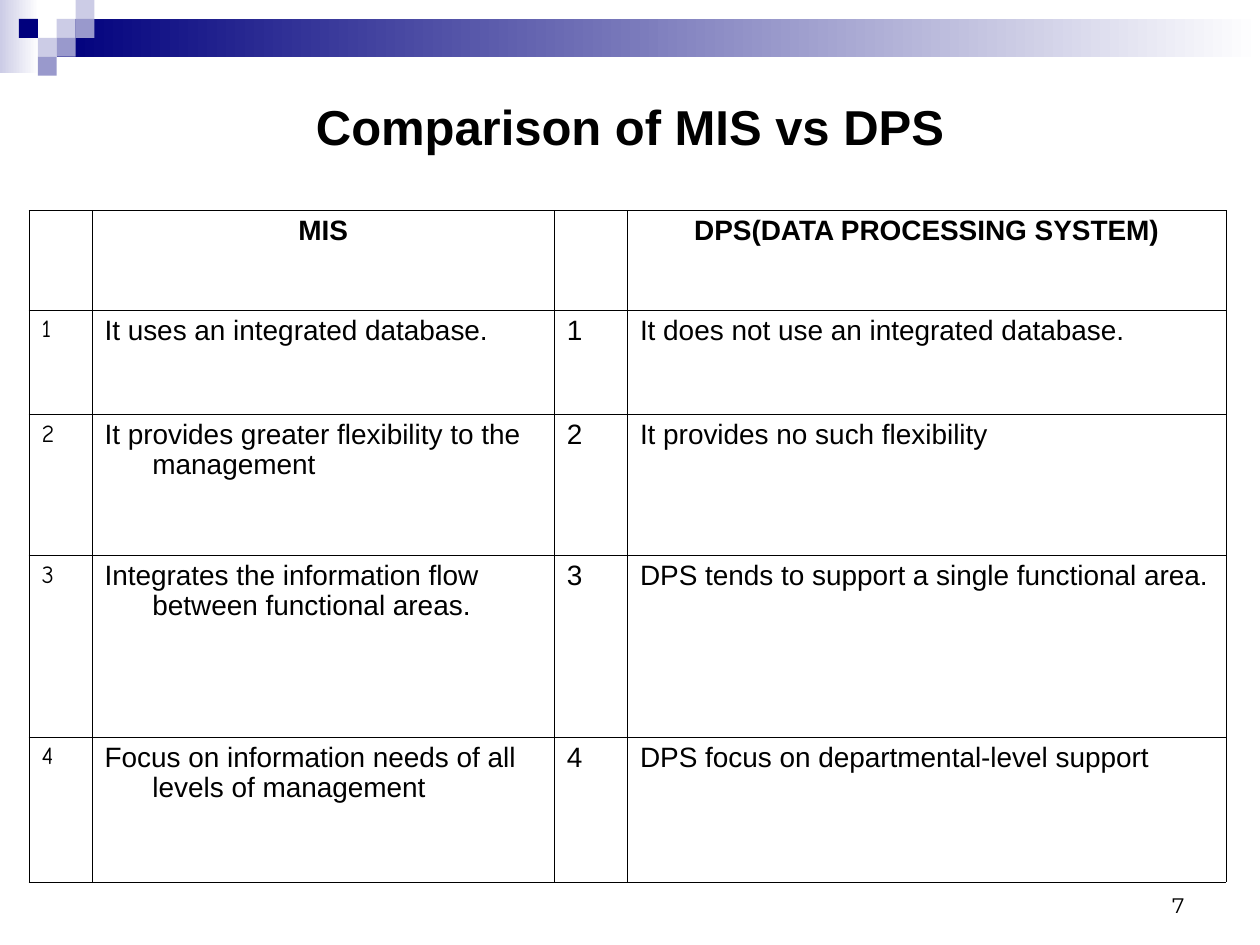
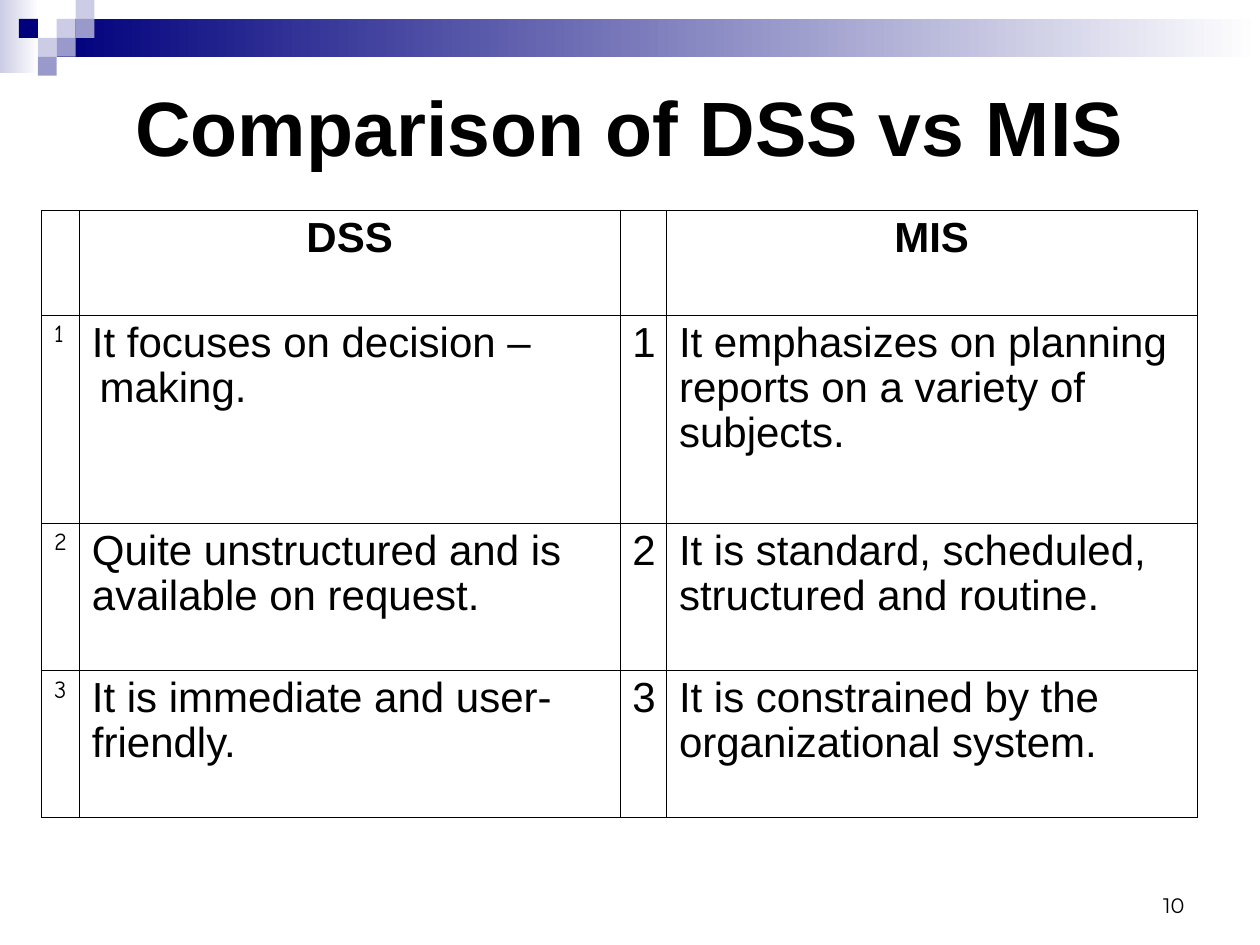
"""Build two slides that compare information systems in bordered tables."""
from dataclasses import dataclass

import pptx
import pptx.dml.color
import pptx.enum.shapes
import pptx.enum.text
import pptx.oxml
import pptx.oxml.ns
import pptx.util
from pptx.util import Inches

ALIGN = pptx.enum.text.PP_ALIGN
ANCHOR = pptx.enum.text.MSO_ANCHOR


@dataclass(frozen=True)
class Theme:
    navy: str = "00007D"
    violet: str = "9999CC"
    lilac: str = "CCCCE6"
    white: str = "FFFFFF"
    ink: str = "000000"
    body_font: str = "Arial"
    index_font: str = "Comic Neue"
    number_font: str = "Montserrat"
    index_size: int = 14
    number_size: int = 12
    border: float = 0.45
    line_spacing: float = 0.96
    hanging: float = 0.38
    tile: float = 0.15


class Deck:
    def __init__(self, theme):
        self.theme = theme
        self.file = pptx.Presentation()
        self.file.slide_width = Inches(10)
        self.file.slide_height = Inches(7.5)
        self.page = None

    def add_page(self, title, title_size, number):
        self.page = self.file.slides.add_slide(self.file.slide_layouts[6])
        self.add_band()
        self.add_text((0.5, 0.5, 9, 1), title, self.theme.body_font, title_size,
                      ALIGN.CENTER, ANCHOR.MIDDLE, bold=True)
        self.add_text((7.17, 6.83, 2.33, 0.5), number, self.theme.number_font,
                      self.theme.number_size, ALIGN.RIGHT, ANCHOR.BOTTOM)

    def add_band(self):
        theme = self.theme
        tile = theme.tile
        self.add_rectangle((0, 0, 0.31, 0.58), theme.lilac, theme.white)
        self.add_rectangle((3 * tile, tile, 9.55, 2 * tile), theme.navy, theme.white)
        tiles = {
            theme.lilac: [(3, 1), (4, 0), (2, 2)],
            theme.violet: [(4, 1), (3, 2), (2, 3)],
            theme.navy: [(1, 1)],
        }
        for color, places in tiles.items():
            for column, row in places:
                self.add_rectangle((column * tile, row * tile, tile, tile), color)

    def add_rectangle(self, place, color, fade_to=None):
        box = self.page.shapes.add_shape(
            pptx.enum.shapes.MSO_SHAPE.RECTANGLE, *map(Inches, place))
        box.shadow.inherit = False
        box.line.fill.background()
        if fade_to is None:
            box.fill.solid()
            box.fill.fore_color.rgb = pptx.dml.color.RGBColor.from_string(color)
            return
        box.fill.gradient()
        box.fill.gradient_angle = 0
        for stop, shade in zip(box.fill.gradient_stops, (color, fade_to)):
            stop.color.rgb = pptx.dml.color.RGBColor.from_string(shade)

    def add_text(self, place, text, font, size, align, anchor, bold=False):
        box = self.page.shapes.add_textbox(*map(Inches, place))
        frame = box.text_frame
        frame.word_wrap = True
        frame.vertical_anchor = anchor
        para = frame.paragraphs[0]
        para.alignment = align
        self.add_span(para, text, font, size, bold)

    def add_span(self, para, text, font, size, bold=False):
        span = para.add_run()
        span.text = text
        span.font.name = font
        span.font.size = pptx.util.Pt(size)
        span.font.bold = bold
        span.font.color.rgb = pptx.dml.color.RGBColor.from_string(self.theme.ink)

    def add_comparison(self, left, widths, heights, headings, pairs, size, indents):
        theme = self.theme
        frame = self.page.shapes.add_table(
            len(heights), len(widths), Inches(left), Inches(1.67),
            Inches(sum(widths)), Inches(sum(heights)))
        table = frame.table
        table.first_row = False
        table.horz_banding = False
        for column, width in zip(table.columns, widths):
            column.width = Inches(width)
        for row, height in zip(table.rows, heights):
            row.height = Inches(height)
        for cell in table.iter_cells():
            self.outline(cell)
            cell.fill.background()
        for column, heading in zip((1, 3), headings):
            self.fill_cell(table.cell(0, column), heading, theme.body_font, size,
                           theme.hanging, ALIGN.CENTER, True)
        for row, (first, second) in enumerate(pairs, 1):
            first_indent, second_indent = indents[row - 1]
            self.fill_cell(table.cell(row, 0), str(row), theme.index_font,
                           theme.index_size, theme.hanging)
            self.fill_cell(table.cell(row, 1), first, theme.body_font, size, first_indent)
            self.fill_cell(table.cell(row, 2), str(row), theme.body_font, size,
                           theme.hanging)
            self.fill_cell(table.cell(row, 3), second, theme.body_font, size, second_indent)

    def fill_cell(self, cell, text, font, size, indent, align=ALIGN.LEFT, bold=False):
        para = cell.text_frame.paragraphs[0]
        para.alignment = align
        para.line_spacing = self.theme.line_spacing
        properties = para._p.get_or_add_pPr()
        properties.set("marL", str(Inches(indent)))
        properties.set("indent", str(-Inches(indent)))
        self.add_span(para, text, font, size, bold)

    def outline(self, cell):
        properties = cell._tc.get_or_add_tcPr()
        width = pptx.util.Pt(self.theme.border)
        for side in ("lnL", "lnR", "lnT", "lnB"):
            properties.append(pptx.oxml.parse_xml(
                f'<a:{side} {pptx.oxml.ns.nsdecls("a")} w="{width}"><a:solidFill>'
                f'<a:srgbClr val="{self.theme.ink}"/></a:solidFill></a:{side}>'))


def main():
    theme = Theme()
    deck = Deck(theme)

    deck.add_page("Comparison of MIS vs DPS", 28, "7")
    mis_dps = [
        ("It uses an integrated database.", "It does not use an integrated database."),
        ("It provides greater flexibility to the management",
         "It provides no such flexibility"),
        ("Integrates the information flow between functional areas.",
         "DPS tends to support a single functional area."),
        ("Focus on information needs of all levels of management",
         "DPS focus on departmental-level support"),
    ]
    deck.add_comparison(
        0.23, (0.5, 3.67, 0.58, 4.75), (0.79, 0.83, 1.12, 1.44, 1.15),
        ("MIS", "DPS(DATA PROCESSING SYSTEM)"), mis_dps, 16,
        [(theme.hanging, theme.hanging)] * len(mis_dps))

    deck.add_page("Comparison of DSS vs MIS", 44, "10")
    dss_mis = [
        ("It focuses on decision – making.",
         "It emphasizes on planning reports on a variety of subjects."),
        ("Quite unstructured and is available on request.",
         "It is standard, scheduled, structured and routine."),
        ("It is immediate and user-friendly.",
         "It is constrained by the organizational system."),
    ]
    deck.add_comparison(
        0.33, (0.3, 4.29, 0.37, 4.21), (0.83, 1.65, 1.17, 1.17),
        ("DSS", "MIS"), dss_mis, 24, [(0.06, 0), (0, 0), (0, 0)])

    deck.file.save("out.pptx")


if __name__ == "__main__":
    main()
